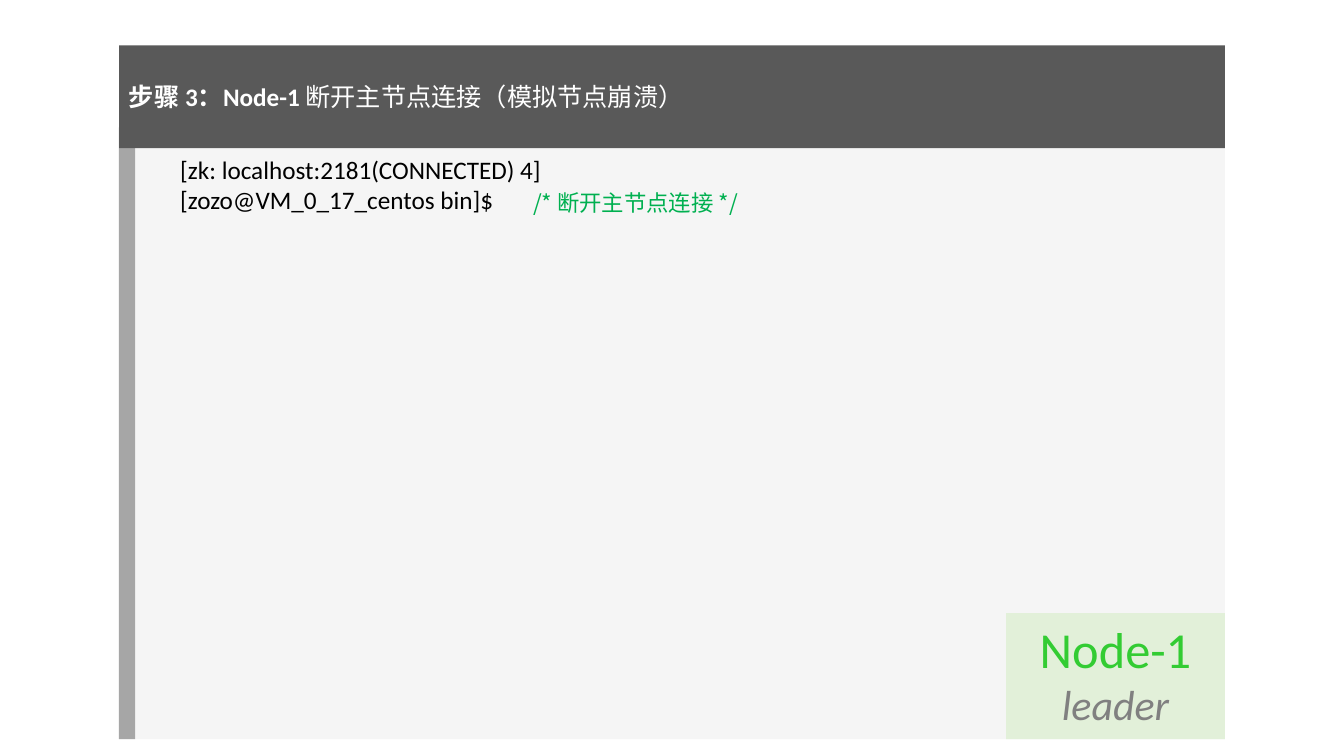
import pptx
import pptx.dml.color
import pptx.enum.shapes
import pptx.enum.text
import pptx.oxml.ns
import pptx.util
from dataclasses import dataclass

Pt = pptx.util.Pt
PP_ALIGN = pptx.enum.text.PP_ALIGN
ANCHOR = pptx.enum.text.MSO_ANCHOR


@dataclass(frozen=True)
class Theme:
    panel: str = "F5F5F5"
    stripe: str = "A6A6A6"
    header: str = "595959"
    badge: str = "E2F0D9"
    white: str = "FFFFFF"
    black: str = "000000"
    node: str = "33CC33"
    role: str = "808080"
    comment: str = "00B050"
    latin: str = "Calibri"
    chinese: str = "Noto Sans CJK SC"
    body_size: int = 18
    comment_size: int = 16
    node_size: int = 36
    role_size: int = 30


class SlideBuilder:
    def __init__(self, slide, theme):
        self.slide = slide
        self.theme = theme

    def panel(self, bounds, color):
        panel = self.slide.shapes.add_shape(
            pptx.enum.shapes.MSO_SHAPE.RECTANGLE, *map(Pt, bounds))
        panel.shadow.inherit = False
        panel.fill.solid()
        panel.fill.fore_color.rgb = pptx.dml.color.RGBColor.from_string(color)
        panel.line.fill.background()
        return panel.text_frame

    def textbox(self, bounds):
        return self.slide.shapes.add_textbox(*map(Pt, bounds)).text_frame

    def fill_text(self, frame, lines, anchor=ANCHOR.TOP, **paragraph_format):
        frame.word_wrap = True
        frame.vertical_anchor = anchor
        for index, runs in enumerate(lines):
            paragraph = frame.add_paragraph() if index else frame.paragraphs[0]
            for key, value in paragraph_format.items():
                setattr(paragraph, key, value)
            for text, color, size, style in runs:
                self.run(paragraph, text, color, size, style)

    def run(self, paragraph, text, color, size, style):
        run = paragraph.add_run()
        run.text = text
        run.font.color.rgb = pptx.dml.color.RGBColor.from_string(color)
        values = {"name": self.theme.latin, "size": Pt(size), **style}
        for key, value in values.items():
            setattr(run.font, key, value)
        latin = run._r.rPr.find(pptx.oxml.ns.qn("a:latin"))
        latin.addnext(latin.makeelement(
            pptx.oxml.ns.qn("a:ea"), {"typeface": self.theme.chinese}))


def main():
    presentation = pptx.Presentation()
    presentation.slide_width = Pt(960)
    presentation.slide_height = Pt(540)
    theme = Theme()
    builder = SlideBuilder(
        presentation.slides.add_slide(presentation.slide_layouts[6]), theme)
    left, top, width, height = 85, 91, 790, 437

    builder.panel((left, top, width, height), theme.panel)
    terminal = builder.textbox((121.7, 106.5, 631, 51))
    builder.fill_text(terminal, [
        [("[zk: localhost:2181(CONNECTED) 4]", theme.black, theme.body_size, {})],
        [("[zozo@VM_0_17_centos bin]$", theme.black, theme.body_size, {})],
    ])
    builder.panel((left, top, 11.5, height), theme.stripe)

    header = builder.panel((left, 32.4, width, 73.4), theme.header)
    builder.fill_text(header, [[
        ("步骤 3：Node-1 ", theme.white, theme.body_size, {"bold": True}),
        ("断开主节点连接（模拟节点崩溃）", theme.white, theme.body_size, {"bold": False}),
    ]], ANCHOR.MIDDLE, alignment=PP_ALIGN.LEFT)

    badge_width, badge_height = 156.3, 90
    badge = builder.panel((left + width - badge_width, top + height - badge_height,
                           badge_width, badge_height), theme.badge)
    builder.fill_text(badge, [
        [("Node-1", theme.node, theme.node_size, {})],
        [("leader", theme.role, theme.role_size, {"italic": True})],
    ], alignment=PP_ALIGN.CENTER)

    comment = builder.textbox((373.7, 121.7, 165.6, 36))
    builder.fill_text(comment, [
        [("/* 断开主节点连接 */", theme.comment, theme.comment_size,
          {"name": theme.chinese})],
    ], line_spacing=1.5)

    presentation.save("out.pptx")


if __name__ == "__main__":
    main()
